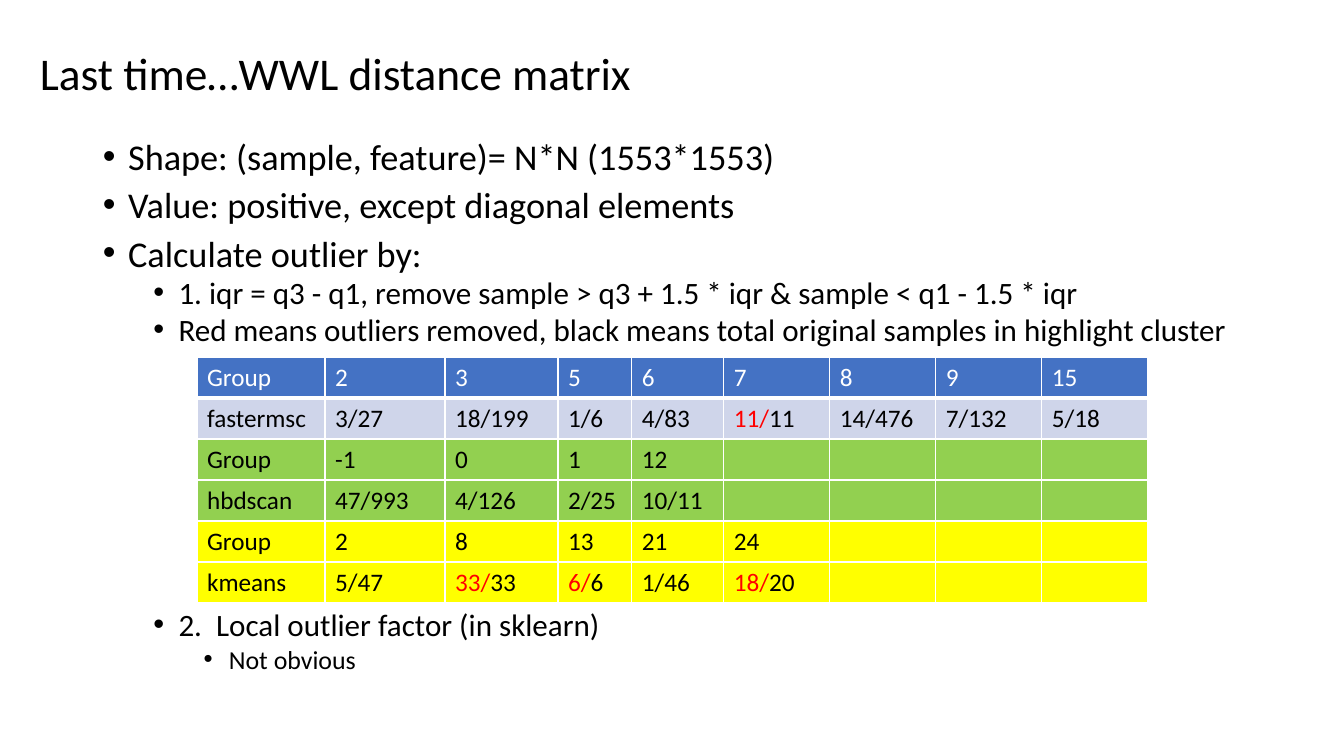
from dataclasses import dataclass

from lxml.etree import SubElement
from pptx import Presentation
from pptx.dml.color import RGBColor
from pptx.enum.text import MSO_ANCHOR as Anchor
from pptx.oxml.ns import qn
from pptx.util import Emu, Pt

SCALE = 914400 / 100.8
FONT = "Calibri"
BLACK, WHITE, RED = "000000", "FFFFFF", "FF0000"
BLUE, PALE, GREEN, YELLOW = "4472C4", "CFD5EA", "92D050", "FFFF00"


@dataclass
class Bullet:
    text: str
    level: int
    size: float
    before: float


@dataclass
class Row:
    cells: list[str]
    fill: str
    color: str = BLACK
    bottom: int = 1


BULLETS = [
    Bullet("Shape: (sample, feature)= N*N (1553*1553)", 0, 25.9, 0),
    Bullet("Value: positive, except diagonal elements", 0, 25.9, 9.5),
    Bullet("Calculate outlier by:", 0, 25.9, 9.5),
    Bullet("1. iqr = q3 - q1, remove sample > q3 + 1.5 * iqr & sample < q1 - 1.5 * iqr", 1, 22.2, 5),
    Bullet("Red means outliers removed, black means total original samples in highlight cluster", 1, 22.2, 5),
    Bullet("2.  Local outlier factor (in sklearn)", 1, 22.2, 189),
    Bullet("Not obvious", 2, 18.5, 5),
]

ROWS = [
    Row(["Group", "2", "3", "5", "6", "7", "8", "9", "15"], BLUE, WHITE, 3),
    Row(["fastermsc", "3/27", "18/199", "1/6", "4/83", "11/11", "14/476", "7/132", "5/18"], PALE),
    Row(["Group", "-1", "0", "1", "12"], GREEN),
    Row(["hbdscan", "47/993", "4/126", "2/25", "10/11"], GREEN),
    Row(["Group", "2", "8", "13", "21", "24"], YELLOW),
    Row(["kmeans", "5/47", "33/33", "6/6", "1/46", "18/20"], YELLOW),
]
HIGHLIGHTED = {"11/11", "33/33", "6/6", "18/20"}
COLUMNS = [128, 120, 113, 74, 92] + [106] * 4
ROW_HEIGHT = 41


def px(n: int) -> Emu:
    return Emu(round(n * SCALE))


def rgb(color: str) -> RGBColor:
    return RGBColor.from_string(color)


def add_text(p, text: str, *, size: float, color: str = BLACK) -> None:
    r = p.add_run()
    r.text = text
    r.font.name = FONT
    r.font.size = Pt(size)
    r.font.bold = False
    r.font.color.rgb = rgb(color)


def add_box(s, left: int, top: int, width: int, height: int, anchor: Anchor):
    tf = s.shapes.add_textbox(px(left), px(top), px(width), px(height)).text_frame
    tf.word_wrap = True
    tf.vertical_anchor = anchor
    return tf


def add_bullet(p, bullet: Bullet) -> None:
    pPr = p._p.get_or_add_pPr()
    pPr.set("marL", str(228600 + 457200 * bullet.level))
    pPr.set("indent", "-228600")
    SubElement(pPr, qn("a:buFont"), typeface="Arial")
    SubElement(pPr, qn("a:buChar"), char="•")
    p.level = bullet.level
    p.line_spacing = 0.8
    p.space_before = Pt(bullet.before)
    add_text(p, bullet.text, size=bullet.size)


def add_borders(cell, bottom: int) -> None:
    tcPr = cell._tc.get_or_add_tcPr()
    for side, width in {"L": 1, "R": 1, "T": 1, "B": bottom}.items():
        ln = SubElement(tcPr, qn(f"a:ln{side}"), w=str(Pt(width)))
        fill = SubElement(ln, qn("a:solidFill"))
        SubElement(fill, qn("a:srgbClr"), val=WHITE)


def fill_cell(cell, text: str, row: Row) -> None:
    add_borders(cell, row.bottom)
    cell.fill.solid()
    cell.fill.fore_color.rgb = rgb(row.fill)
    p = cell.text_frame.paragraphs[0]
    if text in HIGHLIGHTED:
        removed, total = text.split("/")
        add_text(p, removed + "/", size=18, color=RED)
        add_text(p, total, size=18, color=row.color)
    elif text:
        add_text(p, text, size=18, color=row.color)


def add_outlier_table(s) -> None:
    frame = s.shapes.add_table(len(ROWS), len(COLUMNS), px(197), px(357),
                               px(sum(COLUMNS)), px(ROW_HEIGHT * len(ROWS)))
    table = frame.table
    table.horz_banding = False
    for column, width in zip(table.columns, COLUMNS):
        column.width = px(width)
    for i, row in enumerate(ROWS):
        table.rows[i].height = px(ROW_HEIGHT)
        for j in range(len(COLUMNS)):
            text = row.cells[j] if j < len(row.cells) else ""
            fill_cell(table.cell(i, j), text, row)


def main() -> None:
    prs = Presentation()
    prs.slide_width, prs.slide_height = px(1344), px(756)
    s = prs.slides.add_slide(prs.slide_layouts[6])

    title = add_box(s, 30, 28, 641, 95, Anchor.MIDDLE).paragraphs[0]
    title.line_spacing = 0.9
    add_text(title, "Last time…WWL distance matrix", size=32.4)

    tf = add_box(s, 93, 138, 1219, 579, Anchor.TOP)
    for i, bullet in enumerate(BULLETS):
        add_bullet(tf.add_paragraph() if i else tf.paragraphs[0], bullet)

    add_outlier_table(s)
    prs.save("out.pptx")


if __name__ == "__main__":
    main()
